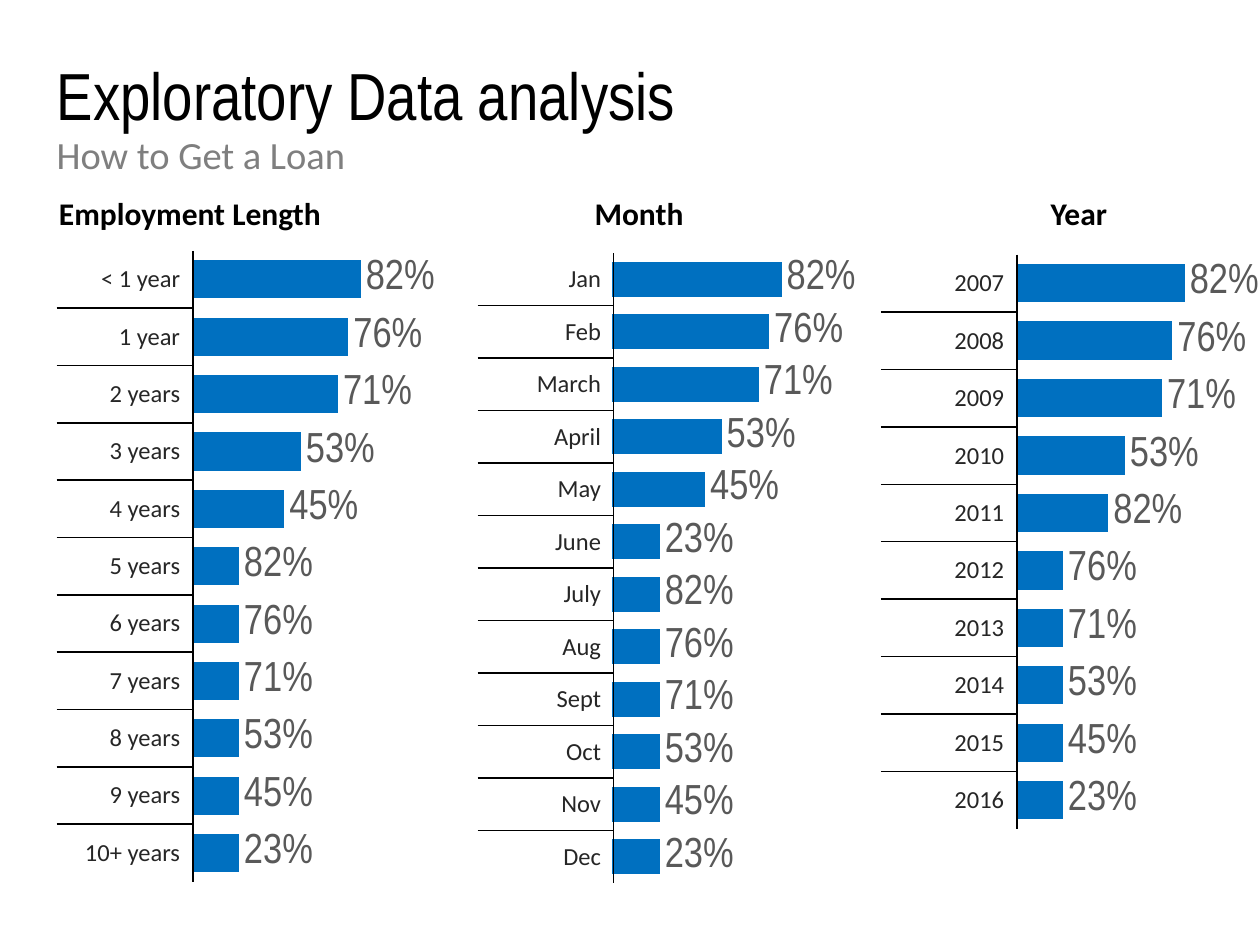
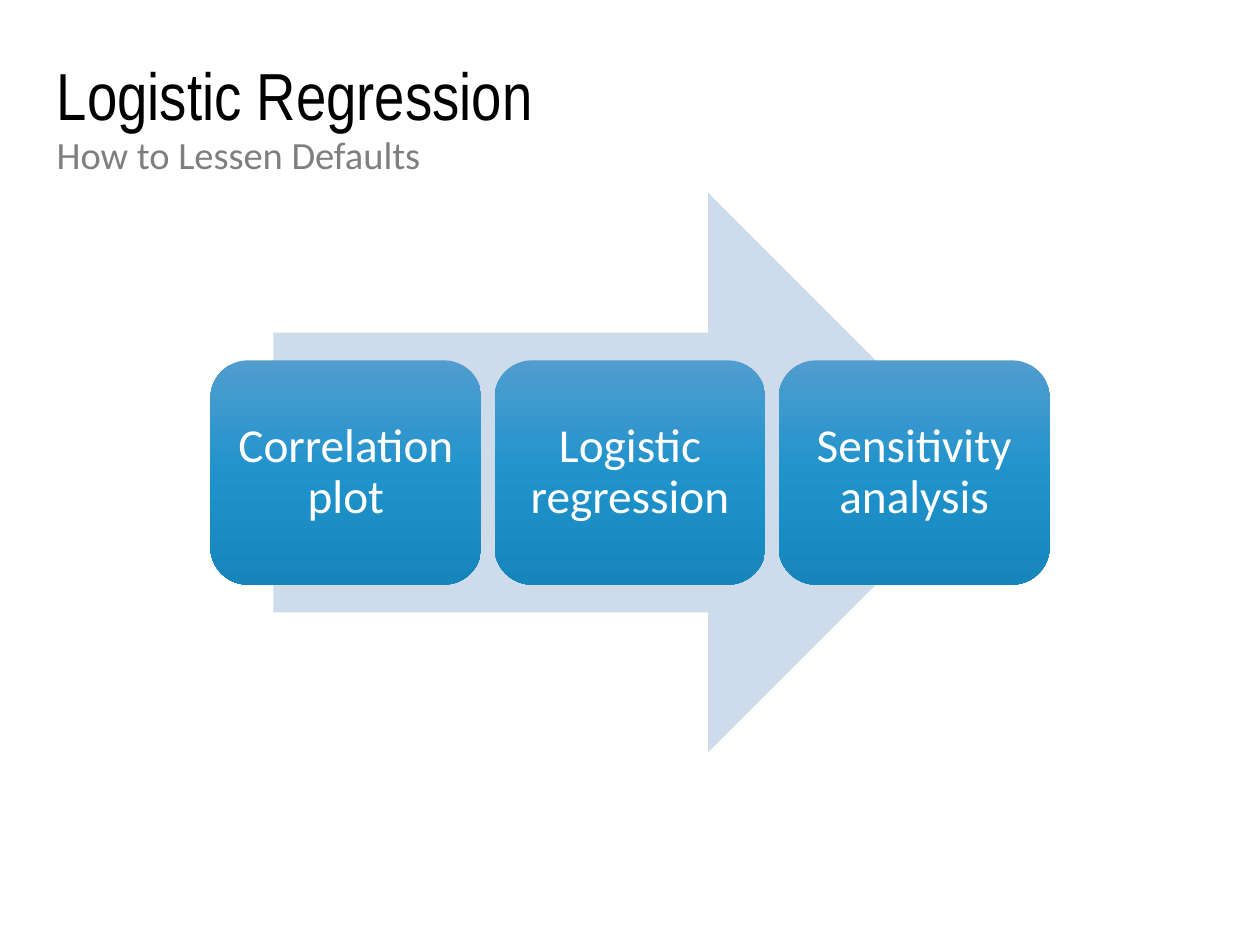
from dataclasses import dataclass

import lxml.etree
import pptx
import pptx.chart.data
import pptx.dml.color
import pptx.enum.chart
import pptx.enum.shapes
import pptx.enum.text
import pptx.oxml
import pptx.oxml.ns
import pptx.util

Inches = pptx.util.Inches
Pt = pptx.util.Pt
RGBColor = pptx.dml.color.RGBColor
qn = pptx.oxml.ns.qn

BLACK = RGBColor(0x00, 0x00, 0x00)
WHITE = RGBColor(0xFF, 0xFF, 0xFF)
SUBTITLE_GRAY = RGBColor(0x7F, 0x7F, 0x7F)
CELL_GRAY = RGBColor(0x26, 0x26, 0x26)
LABEL_GRAY = RGBColor(0x59, 0x59, 0x59)
BAR_BLUE = RGBColor(0x00, 0x70, 0xC0)
ARROW_BLUE = RGBColor(0xCD, 0xDB, 0xEA)
STEP_GRADIENT = (
    (0, RGBColor(0x51, 0x9D, 0xCE)),
    (50, RGBColor(0x20, 0x93, 0xCC)),
    (100, RGBColor(0x16, 0x85, 0xBC)),
)

HEADING_FONT = "Arial Narrow"
BODY_FONT = "Calibri"
NO_TABLE_STYLE = "{2D5ABB26-0587-4C30-8999-92F81FD0307C}"
NAMESPACES = pptx.oxml.ns.nsdecls("a")

LABEL_WIDTH = 1.08
TOP_RATES = [0.82, 0.76, 0.71, 0.53, 0.45]
LOWEST_RATE = 0.23
FIXED_LABELS = ["23%", "45%", "53%", "71%", "76%", "82%"]


@dataclass
class RatePanel:
    heading: str
    heading_left: float
    heading_width: float
    left: float
    top: float
    height: float
    categories: list[str]


PANELS = [
    RatePanel("Employment Length", 0.37, 3.13, 0.45, 1.99, 5.01,
              ["< 1 year", "1 year"]
              + [f"{years} years" for years in range(2, 10)]
              + ["10+ years"]),
    RatePanel("Month", 4.62, 2.22, 3.79, 2.01, 5.0,
              ["Jan", "Feb", "March", "April", "May", "June", "July",
               "Aug", "Sept", "Oct", "Nov", "Dec"]),
    RatePanel("Year", 8.24, 2.22, 6.99, 2.02, 4.56,
              [str(year) for year in range(2007, 2017)]),
]
STEPS = ["Correlation plot", "Logistic regression", "Sensitivity analysis"]


def set_font(font, name: str, size: float, color: RGBColor, bold: bool = False) -> None:
    font.name = name
    font.size = Pt(size)
    font.color.rgb = color
    font.bold = bold


def add_text(slide, text: str, left: float, top: float, width: float,
             height: float, size: float, color: RGBColor, bold: bool = False):
    frame = slide.shapes.add_textbox(
        Inches(left), Inches(top), Inches(width), Inches(height)).text_frame
    frame.word_wrap = True
    frame.text = text
    set_font(frame.paragraphs[0].font, BODY_FONT, size, color, bold)
    return frame


def add_titled_slide(presentation, title_text: str, subtitle: str):
    slide = presentation.slides.add_slide(presentation.slide_layouts[5])
    title = slide.shapes.title
    title.left, title.top = Inches(0.45), Inches(0.45)
    title.width, title.height = Inches(9.1), Inches(1.17)
    frame = title.text_frame
    frame.text = title_text
    frame.vertical_anchor = pptx.enum.text.MSO_ANCHOR.TOP
    frame.auto_size = pptx.enum.text.MSO_AUTO_SIZE.NONE
    set_font(frame.paragraphs[0].font, HEADING_FONT, 38, BLACK)
    subtitle_frame = add_text(slide, subtitle, 0.45, 1.03, 9.1, 0.59, 22, SUBTITLE_GRAY)
    for text_frame in (frame, subtitle_frame):
        text_frame.margin_left = 0
        text_frame.paragraphs[0].line_spacing = 0.9
        text_frame.paragraphs[0].alignment = pptx.enum.text.PP_ALIGN.LEFT
    return slide


def set_plot_layout(chart, width: float, height: float) -> None:
    plot_area = chart.plots[0]._element.getparent()
    for old_layout in plot_area.findall(qn("c:layout")):
        plot_area.remove(old_layout)
    layout = lxml.etree.Element(qn("c:layout"))
    manual = lxml.etree.SubElement(layout, qn("c:manualLayout"))
    settings = (("layoutTarget", "inner"), ("xMode", "edge"), ("yMode", "edge"),
                ("x", 0), ("y", 0), ("w", width), ("h", height))
    for name, value in settings:
        lxml.etree.SubElement(manual, qn(f"c:{name}")).set("val", str(value))
    plot_area.insert(0, layout)


def add_rate_chart(slide, panel: RatePanel) -> None:
    count = len(panel.categories)
    rates = [LOWEST_RATE] * (count - len(TOP_RATES)) + TOP_RATES[::-1]
    data = pptx.chart.data.CategoryChartData(number_format="0%")
    data.categories = [str(number) for number in range(1, count + 1)]
    data.add_series("Series 1", rates)
    chart = slide.shapes.add_chart(
        pptx.enum.chart.XL_CHART_TYPE.BAR_CLUSTERED,
        Inches(panel.left + LABEL_WIDTH - 0.01), Inches(panel.top),
        Inches(2.95), Inches(panel.height), data).chart
    chart.has_legend = False
    chart.has_title = False
    set_font(chart.font, BODY_FONT, 18, BLACK)
    chart.category_axis.visible = False
    chart.value_axis.visible = False
    chart.value_axis.has_major_gridlines = False
    chart.value_axis.minimum_scale = 0
    chart.value_axis.maximum_scale = 0.9
    set_plot_layout(chart, 0.5, 1)

    plot = chart.plots[0]
    plot.gap_width = 50
    plot.vary_by_categories = False
    series = plot.series[0]
    series.format.fill.solid()
    series.format.fill.fore_color.rgb = BAR_BLUE
    outside_end = pptx.enum.chart.XL_LABEL_POSITION.OUTSIDE_END
    labels = series.data_labels
    labels.show_value = True
    labels.number_format = "0%"
    labels.number_format_is_linked = False
    labels.position = outside_end
    set_font(labels.font, HEADING_FONT, 24, LABEL_GRAY)
    for index, text in enumerate(FIXED_LABELS):
        label = series.points[index].data_label
        label.text_frame.text = text
        label.position = outside_end
        set_font(label.text_frame.paragraphs[0].runs[0].font,
                 HEADING_FONT, 24, LABEL_GRAY)


def set_borders(cell, sides: list[str]) -> None:
    properties = cell._tc.get_or_add_tcPr()
    for index, side in enumerate(sides):
        properties.insert(index, pptx.oxml.parse_xml(
            f'<a:ln{side} {NAMESPACES} w="12700"><a:solidFill>'
            f'<a:srgbClr val="{BLACK}"/></a:solidFill></a:ln{side}>'))


def add_category_table(slide, panel: RatePanel) -> None:
    count = len(panel.categories)
    table = slide.shapes.add_table(
        count, 1, Inches(panel.left), Inches(panel.top),
        Inches(LABEL_WIDTH), Inches(panel.height)).table
    table.first_row = False
    table.horz_banding = False
    table._tbl.tblPr.find(qn("a:tableStyleId")).text = NO_TABLE_STYLE
    for index, category in enumerate(panel.categories):
        table.rows[index].height = Inches(panel.height / count)
        cell = table.cell(index, 0)
        cell.text = category
        cell.vertical_anchor = pptx.enum.text.MSO_ANCHOR.MIDDLE
        cell.fill.background()
        paragraph = cell.text_frame.paragraphs[0]
        paragraph.alignment = pptx.enum.text.PP_ALIGN.RIGHT
        set_font(paragraph.font, BODY_FONT, 14, CELL_GRAY)
        top = ["T"] if index > 0 else []
        bottom = ["B"] if index < count - 1 else []
        set_borders(cell, ["R"] + top + bottom)


def add_plain_shape(slide, kind, left: float, top: float, width: float, height: float):
    shape = slide.shapes.add_shape(
        kind, Inches(left), Inches(top), Inches(width), Inches(height))
    shape.shadow.inherit = False
    shape.line.fill.background()
    return shape


def set_vertical_gradient(shape) -> None:
    stops = "".join(
        f'<a:gs pos="{position * 1000}"><a:srgbClr val="{color}"/></a:gs>'
        for position, color in STEP_GRADIENT)
    gradient = pptx.oxml.parse_xml(
        f'<a:gradFill {NAMESPACES} rotWithShape="1"><a:gsLst>{stops}</a:gsLst>'
        '<a:lin ang="5400000" scaled="0"/></a:gradFill>')
    shape._element.spPr.find(qn("a:prstGeom")).addnext(gradient)


def add_step(slide, text: str, left: float) -> None:
    step = add_plain_shape(
        slide, pptx.enum.shapes.MSO_SHAPE.ROUNDED_RECTANGLE, left, 2.86, 2.15, 1.78)
    set_vertical_gradient(step)
    frame = step.text_frame
    frame.word_wrap = True
    frame.vertical_anchor = pptx.enum.text.MSO_ANCHOR.MIDDLE
    frame.margin_left = frame.margin_right = Inches(0.08)
    frame.text = text
    paragraph = frame.paragraphs[0]
    paragraph.alignment = pptx.enum.text.PP_ALIGN.CENTER
    paragraph.line_spacing = 0.9
    set_font(paragraph.font, BODY_FONT, 27, WHITE)


def build_analysis_slide(presentation) -> None:
    slide = add_titled_slide(presentation, "Exploratory Data analysis", "How to Get a Loan")
    for panel in PANELS:
        add_text(slide, panel.heading, panel.heading_left, 1.49,
                 panel.heading_width, 0.4, 18, BLACK, bold=True)
        add_rate_chart(slide, panel)
        add_category_table(slide, panel)


def build_regression_slide(presentation) -> None:
    slide = add_titled_slide(presentation, "Logistic Regression", "How to Lessen Defaults")
    arrow = add_plain_shape(
        slide, pptx.enum.shapes.MSO_SHAPE.RIGHT_ARROW, 2.17, 1.53, 5.67, 4.44)
    arrow.fill.solid()
    arrow.fill.fore_color.rgb = ARROW_BLUE
    for index, text in enumerate(STEPS):
        add_step(slide, text, 1.67 + index * 2.255)


def main() -> None:
    presentation = pptx.Presentation()
    presentation.slide_width = Inches(10)
    presentation.slide_height = Inches(7.5)
    build_analysis_slide(presentation)
    build_regression_slide(presentation)
    presentation.save("out.pptx")


main()
